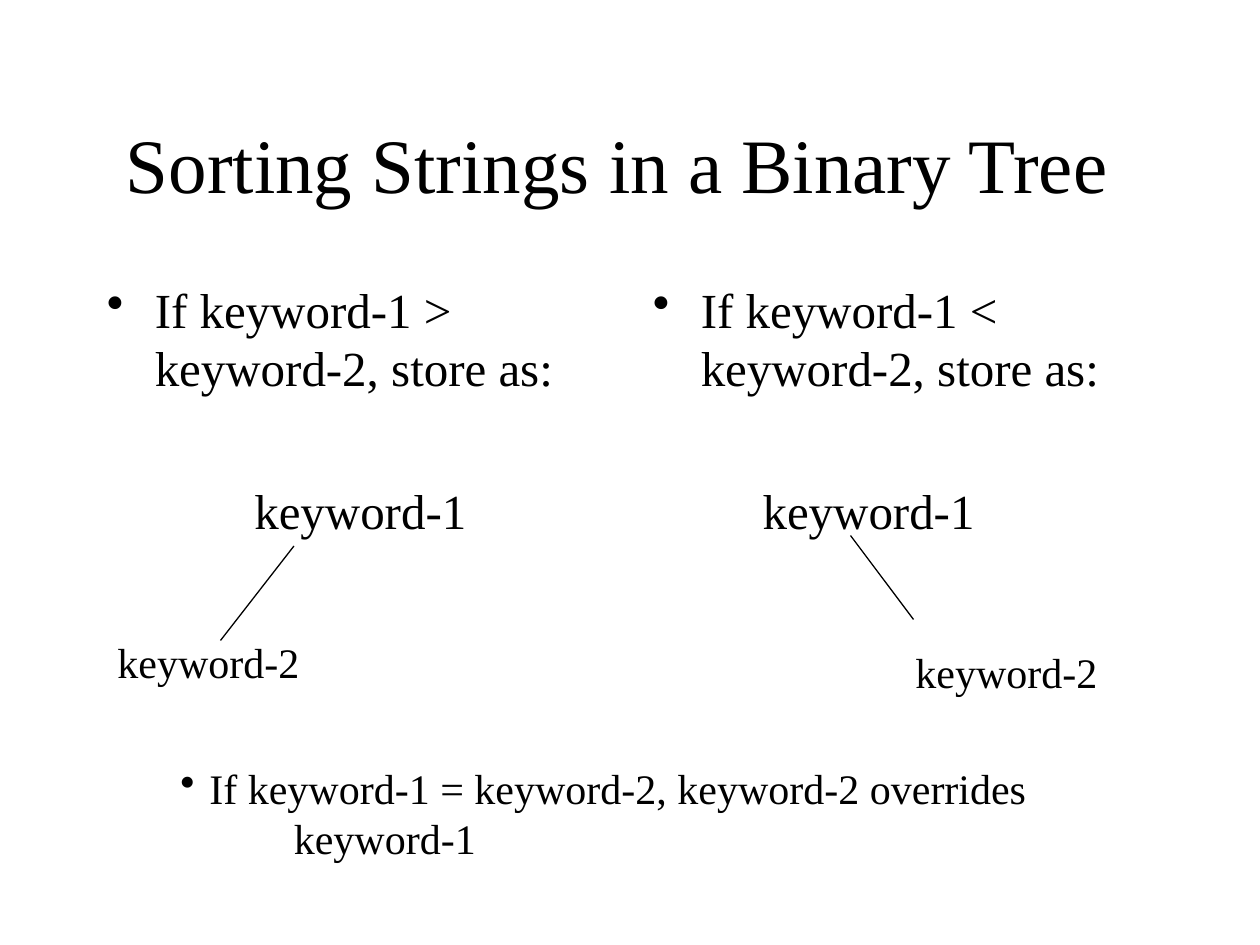
from lxml import etree
from pptx import Presentation
from pptx.dml.color import RGBColor
from pptx.enum.shapes import MSO_CONNECTOR
from pptx.enum.text import MSO_ANCHOR as Anchor, PP_ALIGN as Align
from pptx.oxml.ns import qn
from pptx.util import Inches, Pt

COLORS = {"background": "FFFFFF", "ink": "000000"}
FONT = "Times New Roman"
UNIT = Inches(1) // 12  # grid of 120 columns by 90 rows
COLUMNS, ROWS = 120, 90


def grid(*cells):
    return [int(cell * UNIT) for cell in cells]


def add_text_box(slide, box, anchor=Anchor.TOP, right_inset=0.1):
    frame = slide.shapes.add_textbox(*grid(*box)).text_frame
    frame.word_wrap = True
    frame.vertical_anchor = anchor
    frame.margin_right = Inches(right_inset)
    return frame


def write(frame, text, size, align=Align.LEFT, before=0, margin=0, hanging=0, bullet=False):
    """Add a paragraph, using the frame's first one while it is empty."""
    paragraph = frame.paragraphs[0]
    if paragraph.runs:
        paragraph = frame.add_paragraph()
    paragraph.alignment = align
    paragraph.space_before = Pt(before)
    run = paragraph.add_run()
    run.text = text
    run.font.name = FONT
    run.font.size = Pt(size)
    run.font.color.rgb = RGBColor.from_string(COLORS["ink"])

    # Indents and bullet
    properties = paragraph._p.get_or_add_pPr()
    properties.set("marL", str(Inches(margin)))
    properties.set("indent", str(-Inches(hanging)))
    if bullet:
        etree.SubElement(properties, qn("a:buChar")).set("char", "•")
    else:
        etree.SubElement(properties, qn("a:buNone"))


def add_branch(slide, start, end):
    line = slide.shapes.add_connector(MSO_CONNECTOR.STRAIGHT, *grid(*start, *end))
    line.line.color.rgb = RGBColor.from_string(COLORS["ink"])
    line.line.width = Pt(0.75)
    etree.SubElement(line._element.spPr, qn("a:effectLst"))


def add_title(slide, box):
    frame = add_text_box(slide, box, Anchor.MIDDLE, right_inset=0.3)
    write(frame, "Sorting Strings in a Binary Tree", 44, align=Align.CENTER)


def add_case(slide, box, rule, root_margin, branch, child):
    """Place a rule and its tree; branch and child are offsets within the box."""
    left, top = box[:2]
    frame = add_text_box(slide, box)
    write(frame, rule, 28, before=7, margin=0.38, hanging=0.38, bullet=True)
    write(frame, "keyword-1", 28, before=48, margin=root_margin)

    # Branch down to the child
    add_branch(slide, *[(left + x, top + y) for x, y in branch])
    x, y, width, height = child
    child_frame = add_text_box(slide, (left + x, top + y, width, height))
    write(child_frame, "keyword-2", 24, before=15)


def add_equal_case(slide, box):
    frame = add_text_box(slide, box)
    write(frame, "If keyword-1 = keyword-2, keyword-2 overrides", 24,
          before=15, margin=0.23, hanging=0.23, bullet=True)
    write(frame, "keyword-1", 24, margin=0.9)


def main():
    presentation = Presentation()
    presentation.slide_width, presentation.slide_height = grid(COLUMNS, ROWS)
    slide = presentation.slides.add_slide(presentation.slide_layouts[6])
    slide.background.fill.solid()
    slide.background.fill.fore_color.rgb = RGBColor.from_string(COLORS["background"])

    add_title(slide, (9, 8, 102, 15))

    # Two cases side by side
    add_case(slide, (9, 26, 50, 54), "If keyword-1 > keyword-2, store as:",
             root_margin=1.17, branch=((19, 26), (12, 35)), child=(1, 34, 20, 6))
    add_case(slide, (61, 26, 50, 54), "If keyword-1 < keyword-2, store as:",
             root_margin=0.87, branch=((20, 25), (26, 33)), child=(25, 35, 22, 6))

    add_equal_case(slide, (16, 72, 87, 11))
    presentation.save("out.pptx")


if __name__ == "__main__":
    main()
